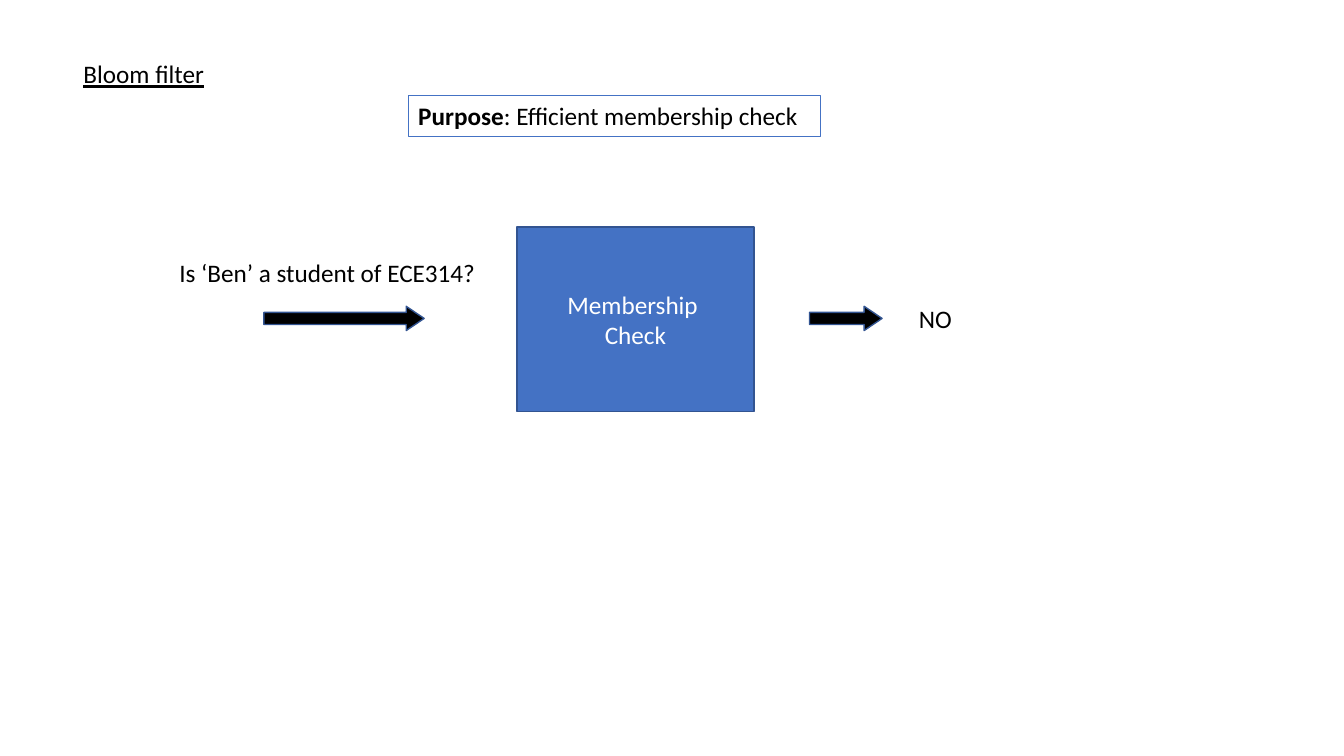
from pptx import Presentation
from pptx.dml.color import RGBColor
from pptx.enum.shapes import MSO_SHAPE
from pptx.enum.text import MSO_ANCHOR, MSO_AUTO_SIZE, PP_ALIGN
from pptx.util import Cm, Pt

RECTANGLE = MSO_SHAPE.RECTANGLE
RIGHT_ARROW = MSO_SHAPE.RIGHT_ARROW
TOP, MIDDLE = MSO_ANCHOR.TOP, MSO_ANCHOR.MIDDLE
LEFT, CENTER = PP_ALIGN.LEFT, PP_ALIGN.CENTER
NO_AUTOFIT = MSO_AUTO_SIZE.NONE

COLORS = {"black": "000000", "white": "FFFFFF", "blue": "4472C4", "edge": "325491"}
LABEL_HEIGHT = 1.02
ARROW_TOP, ARROW_HEIGHT = 7.72, 0.61


def color(name):
    return RGBColor.from_string(COLORS[name])


def write_text(shape, lines, ink="black", align=LEFT, anchor=TOP, underline=False):
    frame = shape.text_frame
    frame.word_wrap = True
    frame.auto_size = NO_AUTOFIT
    frame.vertical_anchor = anchor
    for index, line in enumerate(lines):
        paragraph = frame.add_paragraph() if index else frame.paragraphs[0]
        paragraph.alignment = align
        for text, bold in line:
            run = paragraph.add_run()
            run.text = text
            run.font.name = "Calibri"
            run.font.size = Pt(18)
            run.font.bold = bold
            run.font.underline = underline
            run.font.color.rgb = color(ink)


class SlideBuilder:
    """Draws styled elements on the current slide."""

    def __init__(self, presentation):
        self.slide = presentation.slides.add_slide(presentation.slide_layouts[5])

    def title(self, text, left, top, width):
        shape = self.slide.shapes.title
        shape.left, shape.top = Cm(left), Cm(top)
        shape.width, shape.height = Cm(width), Cm(LABEL_HEIGHT)
        write_text(shape, [[(text, False)]], underline=True)

    def label(self, text, left, top, width):
        shape = self.slide.shapes.add_textbox(Cm(left), Cm(top), Cm(width), Cm(LABEL_HEIGHT))
        write_text(shape, [[(text, False)]])

    def shape(self, kind, left, top, width, height, fill=None, line="edge", weight=1):
        shape = self.slide.shapes.add_shape(kind, Cm(left), Cm(top), Cm(width), Cm(height))
        shape.shadow.inherit = False
        if fill:
            shape.fill.solid()
            shape.fill.fore_color.rgb = color(fill)
        else:
            shape.fill.background()
        shape.line.color.rgb = color(line)
        shape.line.width = Pt(weight)
        return shape

    def box(self, lines, left, top, width, height, ink="black", align=LEFT, anchor=TOP, **style):
        shape = self.shape(RECTANGLE, left, top, width, height, **style)
        write_text(shape, lines, ink=ink, align=align, anchor=anchor)

    def arrow(self, left, width):
        shape = self.shape(RIGHT_ARROW, left, ARROW_TOP, width, ARROW_HEIGHT, fill="black")
        shape.adjustments[1] = 0.74


def main():
    presentation = Presentation()
    presentation.slide_width, presentation.slide_height = Cm(33.87), Cm(19.05)
    builder = SlideBuilder(presentation)
    builder.title("Bloom filter", 1.85, 1.35, 4.52)
    builder.box([[("Purpose", True), (": Efficient membership check", False)]],
                10.29, 2.41, 10.39, LABEL_HEIGHT, line="blue", weight=0.75)
    builder.box([[("Membership ", False)], [("Check", False)]], 13.03, 5.72, 5.97, 4.65,
                ink="white", align=CENTER, anchor=MIDDLE, fill="blue")
    builder.arrow(6.65, 4.04)
    builder.label("Is ‘Ben’ a student of ECE314?", 4.27, 6.35, 8.81)
    builder.arrow(20.4, 1.83)
    builder.label("NO", 22.91, 7.52, 1.83)
    presentation.save("out.pptx")


if __name__ == "__main__":
    main()
